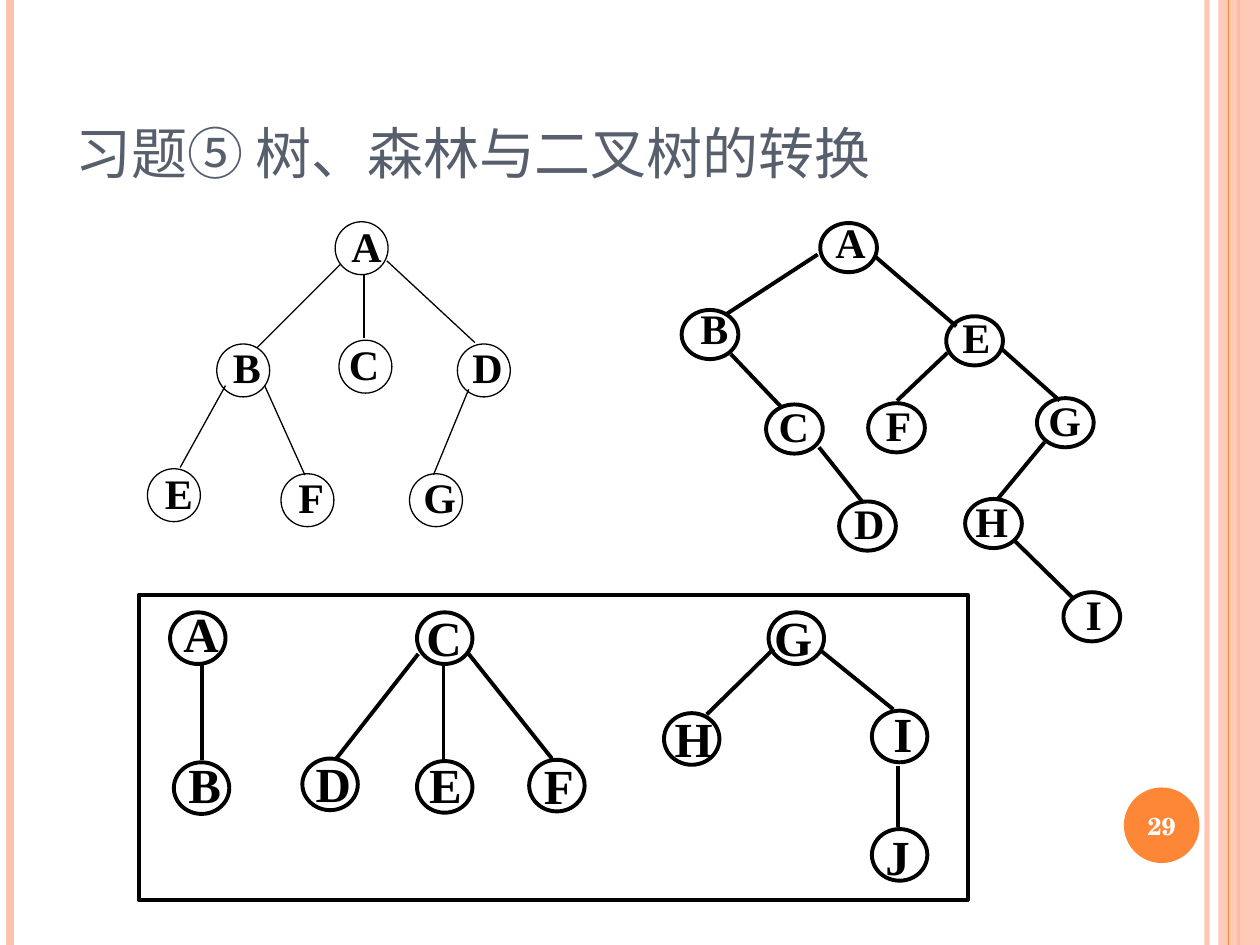
from lxml.etree import SubElement
from pptx import Presentation
from pptx.dml.color import RGBColor
from pptx.enum.shapes import MSO_CONNECTOR, MSO_SHAPE
from pptx.enum.text import MSO_ANCHOR, MSO_AUTO_SIZE, PP_ALIGN
from pptx.oxml.ns import qn
from pptx.util import Cm, Pt

BLACK = RGBColor(0, 0, 0)
WHITE = RGBColor(255, 255, 255)
SLATE = RGBColor(0x57, 0x5F, 0x6D)
PEACH = RGBColor(0xFE, 0xC3, 0xAE)
ORANGE = RGBColor(0xFE, 0x86, 0x37)

TITLE = "习题⑤ 树、森林与二叉树的转换"
PAGE = "29"
RAILS = [(9.58, PEACH, 3, 93), (0.08, PEACH, 4.5, 100),
         (9.83, ORANGE, 1.5, 100)]
BAND = (9.67, 0, 0.33, 7.5)
FRAME = (1.1, 4.72, 6.58, 2.42)

# node: letter, ring left and top, label left and top
TREE = {
    "ring": (0.42, 0.42), "label": (0.36, 0.5), "size": 24, "width": 0.75,
    "inset": (0.04, 0.07, 0.04, 0.01), "frame": None,
    "nodes": [("A", 2.66, 1.76, 2.73, 1.68), ("B", 1.72, 2.73, 1.78, 2.64),
              ("C", 2.69, 2.7, 2.71, 2.62), ("D", 3.63, 2.73, 3.69, 2.64),
              ("E", 1.17, 3.72, 1.24, 3.64), ("F", 2.23, 3.76, 2.29, 3.67),
              ("G", 3.25, 3.76, 3.31, 3.67)],
    "edges": [(2.7, 2.1, 2.04, 2.76), (2.89, 2.18, 2.89, 2.68),
              (3.07, 2.07, 3.77, 2.72), (1.79, 3.06, 1.43, 3.71),
              (2.1, 3.06, 2.42, 3.77), (3.72, 3.09, 3.44, 3.77)],
}
FOREST = {
    "ring": (0.44, 0.41), "label": (0.37, 0.5), "size": 28, "width": 2.25,
    "inset": (0, 0.02, 0.02, 0.01), "frame": FRAME,
    "nodes": [("A", 1.35, 4.86, 1.42, 4.77), ("B", 1.38, 6.05, 1.45, 5.97),
              ("C", 3.31, 4.86, 3.35, 4.8), ("D", 2.4, 6.02, 2.47, 5.96),
              ("E", 3.31, 6.04, 3.36, 5.97), ("F", 4.2, 6.03, 4.26, 5.98),
              ("G", 6.1, 4.86, 6.12, 4.8), ("H", 5.27, 5.66, 5.33, 5.6),
              ("I", 6.92, 5.64, 6.99, 5.56), ("J", 6.92, 6.58, 6.95, 6.54)],
    "edges": [(1.6, 5.28, 1.6, 6.03), (3.32, 5.19, 2.67, 6.02),
              (3.52, 5.28, 3.52, 6.03), (3.72, 5.19, 4.38, 6.02),
              (6.14, 5.15, 5.61, 5.67), (6.51, 5.16, 7.09, 5.63),
              (7.13, 6.08, 7.13, 6.56)],
}
BINARY = {
    "ring": (0.45, 0.39), "label": (0.38, 0.47), "size": 24, "width": 2.25,
    "inset": (0.02, 0.01, 0.02, 0.01), "frame": None,
    "nodes": [("A", 6.51, 1.77, 6.56, 1.71), ("B", 5.41, 2.46, 5.48, 2.39),
              ("C", 6.08, 3.21, 6.11, 3.17), ("D", 6.66, 3.98, 6.71, 3.94),
              ("E", 7.51, 2.51, 7.56, 2.46), ("F", 6.89, 3.2, 6.94, 3.16),
              ("G", 8.23, 3.16, 8.26, 3.12), ("H", 7.66, 3.96, 7.68, 3.92),
              ("I", 8.44, 4.7, 8.49, 4.66)],
    "edges": [(6.49, 2.02, 5.77, 2.49), (5.8, 2.81, 6.2, 3.23),
              (6.5, 3.55, 6.85, 3.99), (6.95, 2.04, 7.59, 2.59),
              (7.52, 2.8, 7.12, 3.18), (7.95, 2.77, 8.41, 3.18),
              (8.29, 3.51, 7.91, 3.97), (8.05, 4.29, 8.52, 4.75)],
}


def scale(*dims):
    return [Cm(dim * 2.54) for dim in dims]


def fade(fill, share):
    SubElement(fill.find(".//" + qn("a:srgbClr")), qn("a:alpha"),
               val=str(share * 1000))


def draw_line(shapes, ends, color, width):
    line = shapes.add_connector(MSO_CONNECTOR.STRAIGHT, *scale(*ends))
    line.line.color.rgb = color
    line.line.width = Pt(width)
    SubElement(line._element.spPr, qn("a:effectLst"))
    return line


def draw_shape(shapes, kind, box, fill=None, width=None):
    shape = shapes.add_shape(kind, *scale(*box))
    shape.shadow.inherit = False
    if fill is None:
        shape.fill.background()
    else:
        shape.fill.solid()
        shape.fill.fore_color.rgb = fill
    if width is None:
        shape.line.fill.background()
    else:
        shape.line.color.rgb = BLACK
        shape.line.width = Pt(width)
    return shape


def write(shape, text, inset, face, size, color):
    frame = shape.text_frame
    frame.word_wrap = True
    (frame.margin_left, frame.margin_top,
     frame.margin_right, frame.margin_bottom) = scale(*inset)
    para = frame.paragraphs[0]
    para.text = text
    para.alignment = PP_ALIGN.CENTER
    font = para.font
    font.name, font.size, font.bold = face, Pt(size), True
    font.color.rgb = color


def draw_graph(slide, graph):
    shapes = slide.shapes.add_group_shape().shapes
    if graph["frame"]:
        draw_shape(shapes, MSO_SHAPE.RECTANGLE, graph["frame"],
                   width=graph["width"])
    for text, left, top, x, y in graph["nodes"]:
        label = shapes.add_textbox(*scale(x, y, *graph["label"]))
        write(label, text, graph["inset"], "Times New Roman",
              graph["size"], BLACK)
        draw_shape(shapes, MSO_SHAPE.OVAL, (left, top, *graph["ring"]),
                   width=graph["width"])
    for ends in graph["edges"]:
        draw_line(shapes, ends, BLACK, graph["width"])


def set_title(title):
    title.left, title.top, title.width, title.height = scale(
        0.5, 0.3, 8.75, 1.25)
    frame = title.text_frame
    frame.text = TITLE
    frame.auto_size = MSO_AUTO_SIZE.NONE
    frame.vertical_anchor = MSO_ANCHOR.BOTTOM
    para = frame.paragraphs[0]
    para.alignment = PP_ALIGN.LEFT
    run = para.runs[0]
    run.font.name, run.font.size = "Noto Sans CJK SC", Pt(40)
    run.font.color.rgb = SLATE
    props = run._r.get_or_add_rPr()
    props.set("cap", "small")
    SubElement(props, qn("a:ea"), typeface="Noto Sans CJK SC")


def main():
    deck = Presentation()
    deck.slide_width, deck.slide_height = scale(10, 7.5)
    slide = deck.slides.add_slide(deck.slide_layouts[5])
    shapes = slide.shapes
    set_title(shapes.title)
    for x, color, width, share in RAILS:
        rail = draw_line(shapes, (x, 0, x, 7.5), color, width)
        if share < 100:
            fade(rail._element.spPr, share)
    band = draw_shape(shapes, MSO_SHAPE.RECTANGLE, BAND, PEACH)
    fade(band._element.spPr, 87)
    draw_line(shapes, (9.75, 0, 9.75, 7.5), ORANGE, 0.75)
    badge = draw_shape(shapes, MSO_SHAPE.OVAL, (8.92, 6.25, 0.6, 0.6), ORANGE)
    write(badge, PAGE, (0, 0, 0, 0), "TeX Gyre Schola", 14, WHITE)
    badge.text_frame.vertical_anchor = MSO_ANCHOR.MIDDLE
    for graph in (TREE, FOREST, BINARY):
        draw_graph(slide, graph)
    deck.save("out.pptx")


if __name__ == "__main__":
    main()
